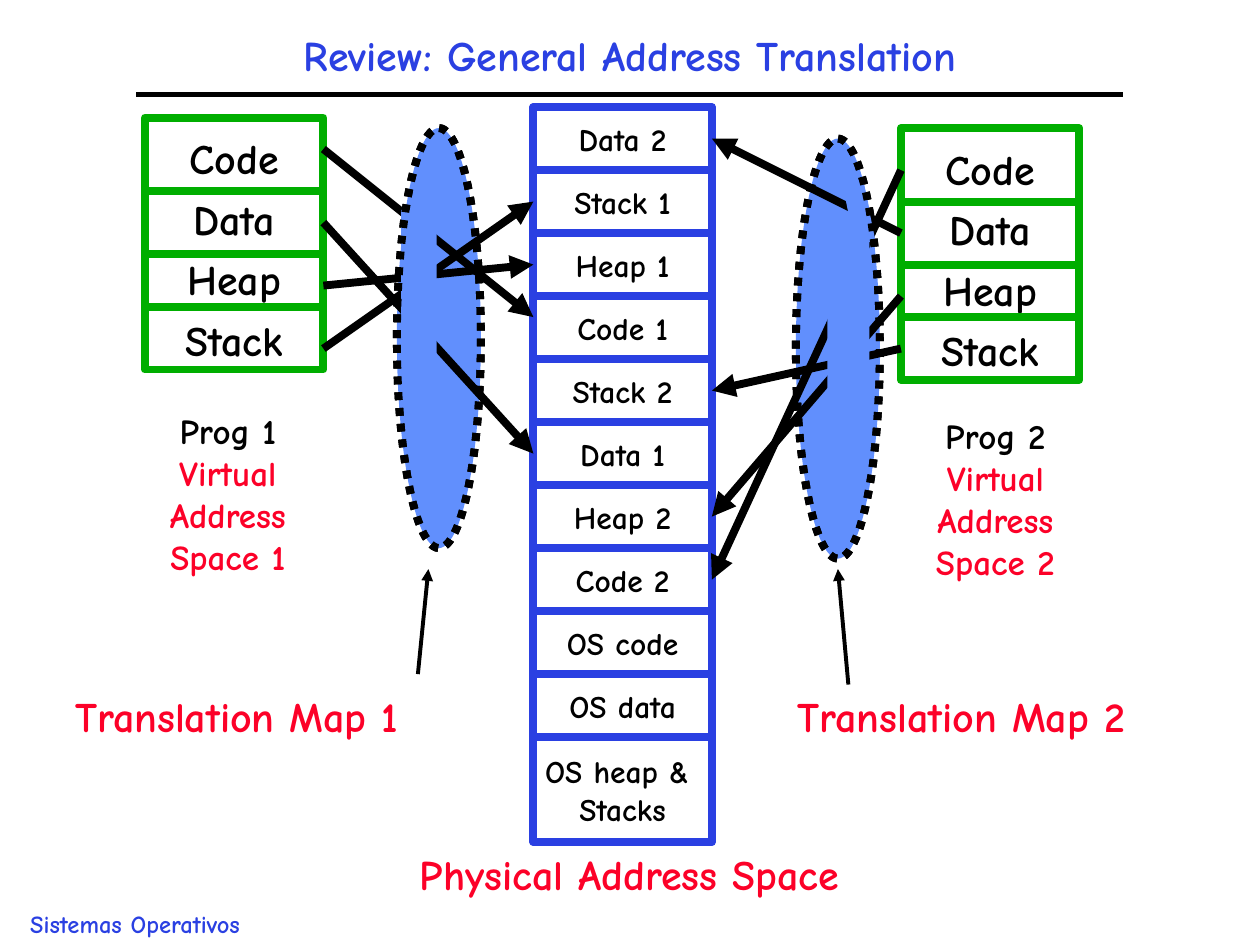
import pptx
import pptx.util
import pptx.dml.color
import pptx.enum.dml
import pptx.enum.shapes
import pptx.enum.text
import pptx.oxml

Pt = pptx.util.Pt
Rgb = pptx.dml.color.RGBColor.from_string
Kind = pptx.enum.shapes.MSO_SHAPE
Align = pptx.enum.text.PP_ALIGN
Dash = pptx.enum.dml.MSO_LINE

theme = {
    "font": "Comic Neue",
    "blue": "2A40E2", "green": "00AE00", "red": "FC0128",
    "black": "000000", "white": "FFFFFF", "map": "618FFD",
    "big": 24, "mid": 20, "cell": 18, "foot": 14,
    "thick": 4.5, "rule": 3, "thin": 2.25,
}

deck = pptx.Presentation()
deck.slide_width = pptx.util.Inches(10)
deck.slide_height = pptx.util.Inches(7.5)
slide = deck.slides.add_slide(deck.slide_layouts[5])
shapes = slide.shapes
col = deck.slide_width / 120
row = deck.slide_height / 90


def draw(home, kind, at, fill=None, edge=None, text=(), size="big", ink="black",
         lead=1.0, align=Align.CENTER):
    spot = [round(n * unit) for n, unit in zip(at, (col, row, col, row))]
    if kind == "title":
        item = home.title
        for name, value in zip(("left", "top", "width", "height"), spot):
            setattr(item, name, value)
    elif kind == "text":
        item = home.add_textbox(*spot)
    else:
        item = home.add_shape(kind, *spot)
        item.shadow.inherit = False
        if fill:
            item.fill.solid()
            item.fill.fore_color.rgb = Rgb(theme[fill])
        else:
            item.fill.background()
        if edge:
            item.line.color.rgb = Rgb(theme[edge])
            item.line.width = Pt(theme["thick"])
        else:
            item.line.fill.background()
    frame = item.text_frame
    anchor = pptx.enum.text.MSO_ANCHOR.TOP if kind == "text" else pptx.enum.text.MSO_ANCHOR.MIDDLE
    look = {"word_wrap": kind == "title", "vertical_anchor": anchor,
            "auto_size": pptx.enum.text.MSO_AUTO_SIZE.NONE}
    for name, value in look.items():
        setattr(frame, name, value)
    for i, line in enumerate(text):
        para = frame.paragraphs[0] if i == 0 else frame.add_paragraph()
        para.alignment, para.line_spacing = align, lead
        run = para.add_run()
        run.text = line
        for name, value in {"name": theme["font"], "size": Pt(theme[size]), "bold": True}.items():
            setattr(run.font, name, value)
        shade = "red" if size == "mid" and i else ink
        run.font.color.rgb = Rgb(theme[shade])
    return item


def link(home, start, end, ink="black", width="thick", head=False):
    ends = [round(n * unit) for n, unit in zip(start + end, (col, row, col, row))]
    line = home.add_connector(pptx.enum.shapes.MSO_CONNECTOR.STRAIGHT, *ends)
    line.line.color.rgb = Rgb(theme[ink])
    line.line.width = Pt(theme[width])
    space = 'xmlns:a="http://schemas.openxmlformats.org/drawingml/2006/main"'
    if head:
        line.line.fill
        stroke = line.line.color and line.element.spPr.find(pptx.oxml.ns.qn("a:ln"))
        stroke.append(pptx.oxml.parse_xml(f'<a:tailEnd {space} type="triangle"/>'))
    line.element.spPr.append(pptx.oxml.parse_xml(f"<a:effectLst {space}/>"))
    return line


draw(shapes, "title", (13, 2, 94, 7), text=["Review: General Address Translation"],
     ink="blue", lead=0.9)
draw(shapes, "text", (1.7, 86, 22.6, 4), text=["Sistemas Operativos"], size="foot",
     ink="blue", align=Align.LEFT)
link(shapes, (13, 9), (107, 9), width="rule")

maps = [(37.8, 12.2, 8, 40), (75.8, 13.2, 8, 40)]
for oval in maps:
    draw(shapes, Kind.OVAL, oval, fill="map", edge="black").line.dash_style = Dash.ROUND_DOT

wide = 17
progs = [(13.8, 11.2), (85.8, 12.2)]
notes = [(14.9, 38.4), (88, 38.9)]
for num, ((left, top), note) in enumerate(zip(progs, notes), 1):
    draw(shapes, "text", (*note, 13.6, 17.2), size="mid",
         text=[f"Prog {num}", "Virtual", "Address", f"Space {num}"])
    group = shapes.add_group_shape().shapes
    draw(group, Kind.RECTANGLE, (left, top, wide, 24), "white", "green",
         ["Code", "Data", "Heap", "Stack"], lead=1.2)
    for drop in (7, 13, 18):
        link(group, (left, top + drop), (left + wide, top + drop), "green")

mem, peak, step = 50.8, 10.2, 6
names = ["Data 2", "Stack 1", "Heap 1", "Code 1", "Stack 2", "Data 1", "Heap 2",
         "Code 2", "OS code", "OS data", "OS heap & \nStacks"]
group = shapes.add_group_shape().shapes
cells = {}
for i, name in enumerate(names):
    lines = name.split("\n")
    tall = step if len(lines) == 1 else 10
    cells[name] = draw(group, Kind.RECTANGLE, (mem, peak + i * step, wide, tall),
                       "white", "blue", lines, "cell")

routes = [
    (14.2, "Code 1"), (21.2, "Data 1"), (27.2, "Heap 1"), (33.2, "Stack 1"),
    (16.2, "Code 2"), (22.2, "Data 2"), (28.2, "Heap 2"), (33.2, "Stack 2"),
]
for high, name in routes:
    first = name.endswith("1")
    start = progs[0][0] + wide if first else progs[1][0]
    end = mem if first else mem + wide
    goal = 30.2 if name == "Code 1" else peak + (names.index(name) + 0.5) * step
    arrow = link(shapes, (start, high), (end, goal), head=True)
    if name != "Code 1":
        arrow.end_connect(cells[name], 1 if first else 3)

patches = [(38.2, 20, 3.4, 18, 0), (78.8, 22.2, 4, 19, 0), (80.8, 17.2, 2, 6, 348.5)]
for *at, turn in patches:
    draw(shapes, Kind.RECTANGLE, at, fill="map").rotation = turn
for oval in maps:
    draw(shapes, Kind.OVAL, oval, edge="black").line.dash_style = Dash.ROUND_DOT

labels = [
    ("Translation Map 1", 6, 65.2, 33.2),
    ("Translation Map 2", 74.8, 65.2, 33.7),
    ("Physical Address Space", 38.8, 80.2, 42.5),
]
for text, left, top, width in labels:
    draw(shapes, "text", (left, top, width, 6), text=[text], ink="red", align=Align.LEFT)
for start, end in [((39.8, 64.2), (40.8, 54.2)), ((80.8, 65.2), (79.8, 54.2))]:
    link(shapes, start, end, width="thin", head=True)

deck.save("out.pptx")
